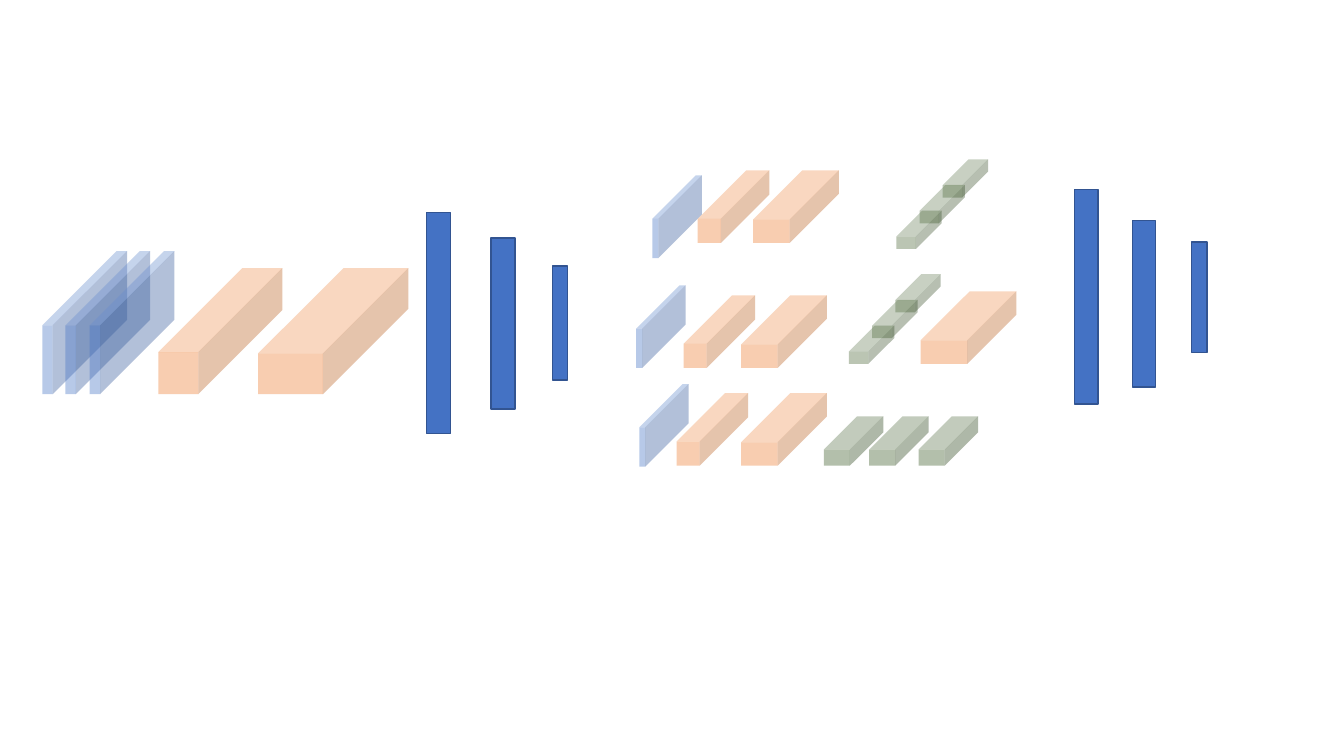
from lxml.etree import SubElement
from pptx import Presentation
from pptx.dml.color import RGBColor
from pptx.enum.shapes import MSO_SHAPE
from pptx.oxml.ns import qn
from pptx.util import Inches, Pt

COLORS = {"blue": "4472C4", "orange": "ED7D31", "green": "385723",
          "edge": "325491", "white": "FFFFFF"}
SLAB, BLOCK = 0.878, 0.677


class NetworkSlide:
    def __init__(self, presentation):
        self.slide = presentation.slides.add_slide(presentation.slide_layouts[6])
        background = self.slide.background.fill
        background.solid()
        background.fore_color.rgb = RGBColor.from_string(COLORS["white"])

    def add_solid(self, kind, color, left, top, width, height):
        shape = self.slide.shapes.add_shape(
            kind, Inches(left), Inches(top), Inches(width), Inches(height))
        shape.shadow.inherit = False
        shape.fill.solid()
        shape.fill.fore_color.rgb = RGBColor.from_string(COLORS[color])
        return shape

    def bar(self, left, top, width, height):
        shape = self.add_solid(MSO_SHAPE.RECTANGLE, "blue", left, top, width, height)
        shape.line.color.rgb = RGBColor.from_string(COLORS["edge"])
        shape.line.width = Pt(1)

    def cube(self, color, depth, left, top, width, height, opacity=38):
        shape = self.add_solid(MSO_SHAPE.CUBE, color, left, top, width, height)
        shape.adjustments[0] = depth
        shape.line.fill.background()
        fill_color = shape.fill._xPr.find(qn("a:solidFill"))[0]
        SubElement(fill_color, qn("a:alpha"), val=str(opacity * 1000))


def add_input_stage(network):
    for left in (0.42, 0.65, 0.89):
        network.cube("blue", SLAB, left, 2.49, 0.84, 1.42)
    for left, width in ((1.57, 1.23), (2.56, 1.49)):
        network.cube("orange", BLOCK, left, 2.66, width, 1.25)


def add_branches(network):
    slabs = ((6.47, 1.74), (6.31, 2.83), (6.34, 3.81))
    block_rows = ((1.69, 6.92, 7.47), (2.93, 6.78, 7.35), (3.9, 6.71, 7.35))
    for left, top in slabs:
        network.cube("blue", SLAB, left, top, 0.49, 0.82)
    for top, narrow_left, wide_left in block_rows:
        network.cube("orange", BLOCK, narrow_left, top, 0.71, 0.72)
        network.cube("orange", BLOCK, wide_left, top, 0.85, 0.72)


def add_green_blocks(network):
    for left, top in ((9.35, 1.58), (8.88, 2.72)):
        for step in range(3):
            network.cube("green", BLOCK, left - 0.23 * step, top + 0.255 * step,
                         0.45, 0.38, opacity=34)
    for left in (8.17, 8.62, 9.11):
        network.cube("green", BLOCK, left, 4.13, 0.59, 0.49)


def add_dense_layers(network):
    for bar in ((4.23, 2.11, 0.24, 2.19), (4.87, 2.36, 0.24, 1.7),
                (5.48, 2.64, 0.15, 1.13), (10.66, 1.88, 0.23, 2.13),
                (11.23, 2.19, 0.23, 1.65), (11.82, 2.4, 0.15, 1.1)):
        network.bar(*bar)


def main():
    presentation = Presentation()
    presentation.slide_width = Inches(13.33)
    presentation.slide_height = Inches(7.5)
    network = NetworkSlide(presentation)
    add_input_stage(network)
    add_branches(network)
    add_green_blocks(network)
    add_dense_layers(network)
    network.cube("orange", BLOCK, 9.13, 2.89, 0.95, 0.72)
    presentation.save("out.pptx")


if __name__ == "__main__":
    main()
